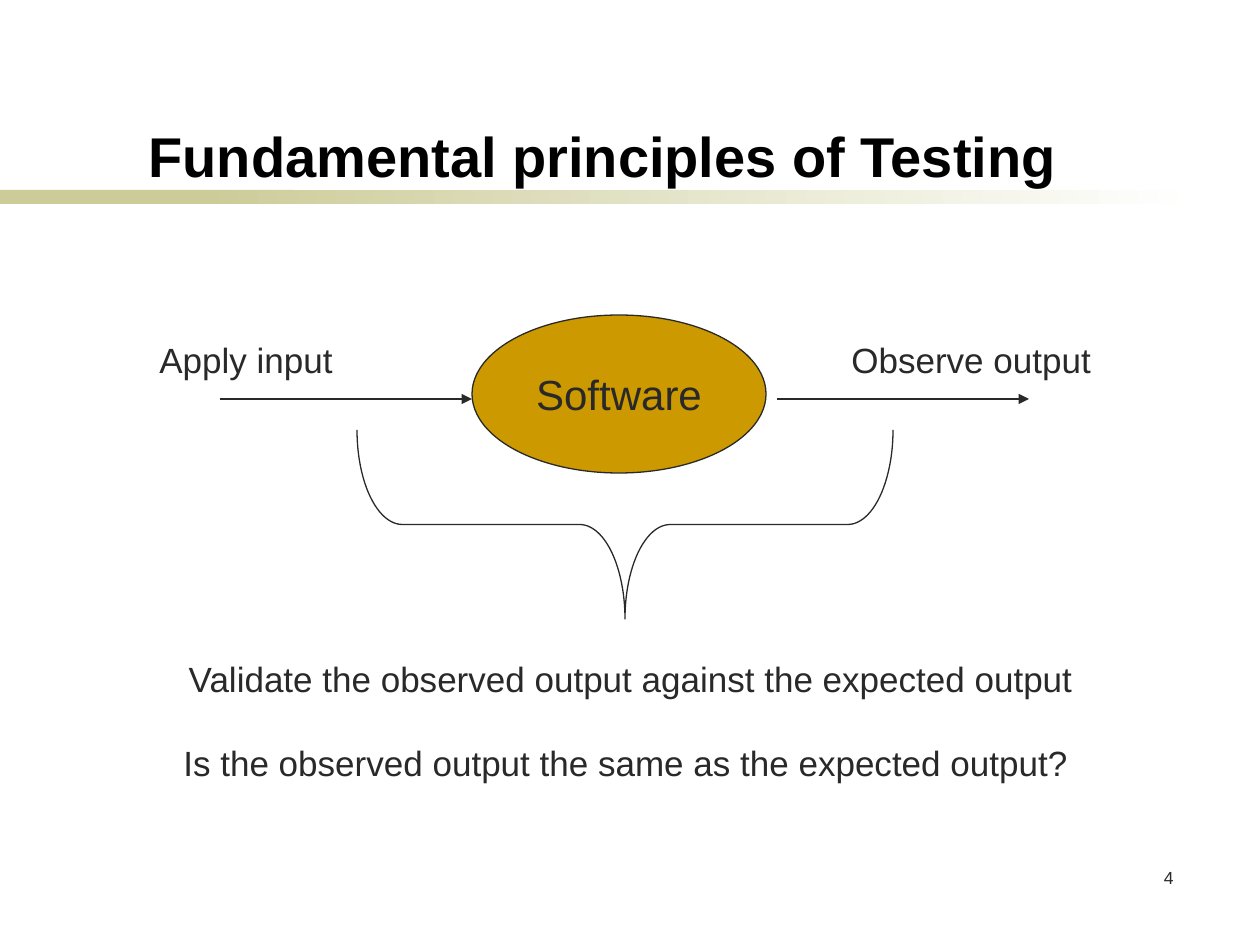
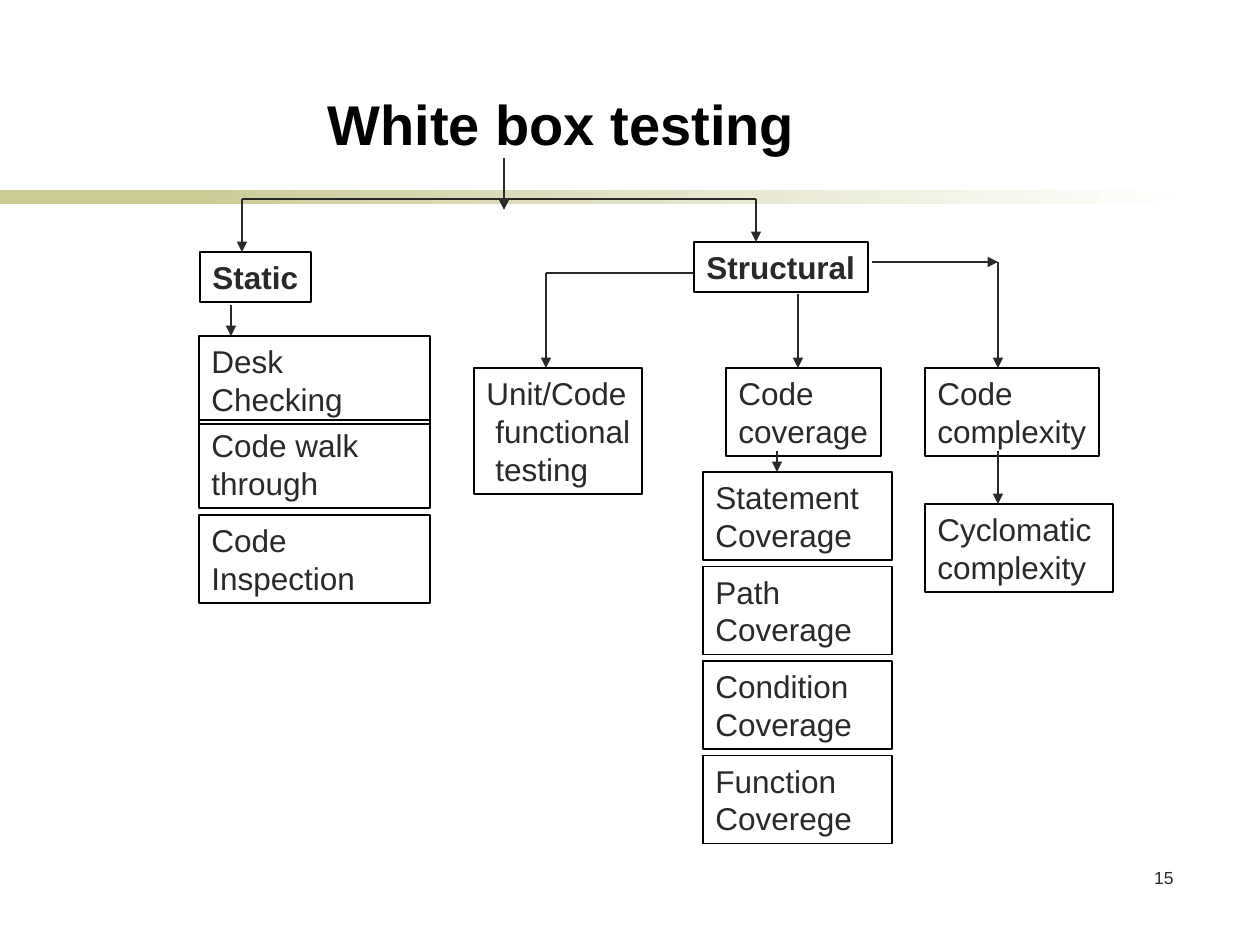
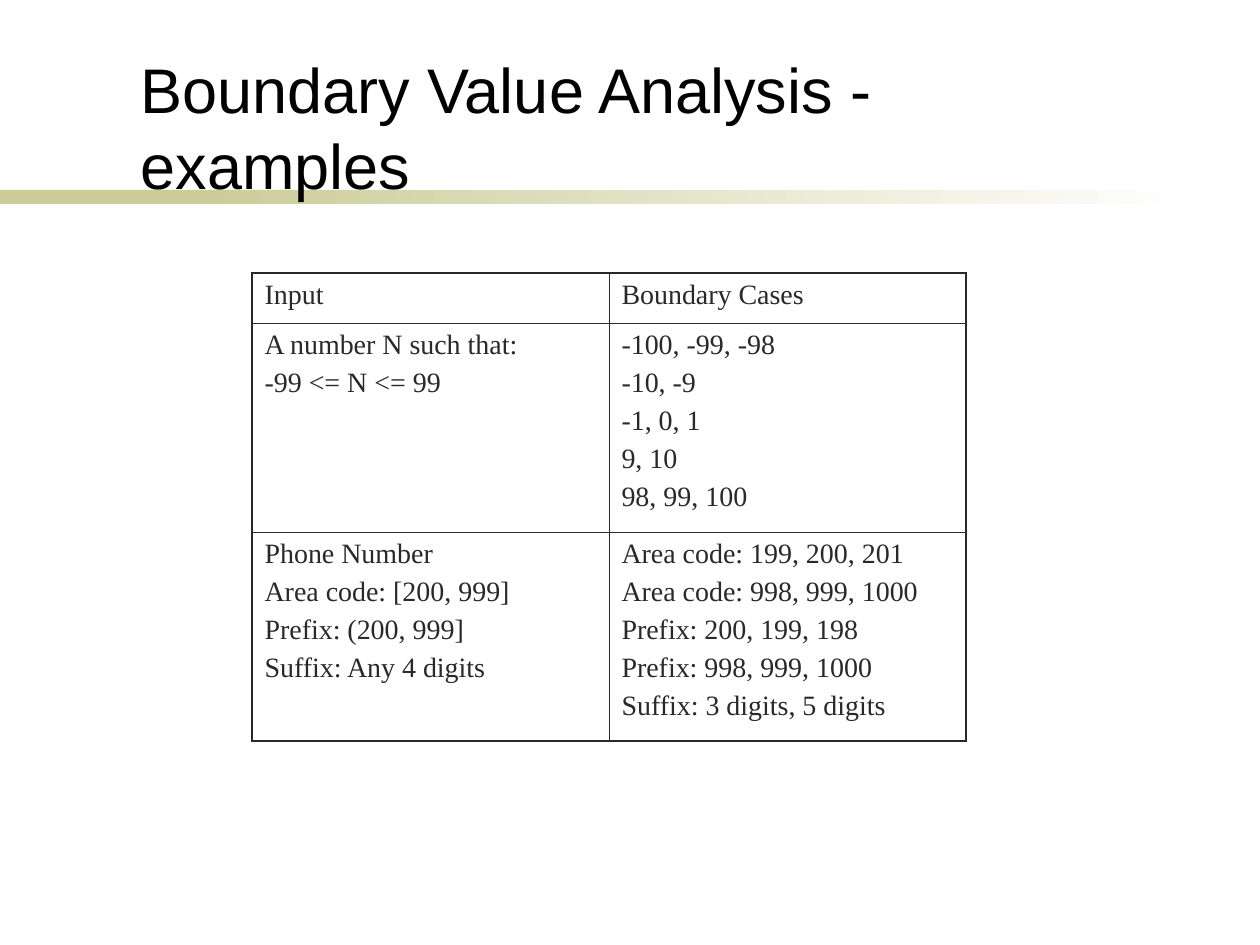
from lxml import etree
from pptx import Presentation
from pptx.dml.color import RGBColor
from pptx.enum.shapes import MSO_CONNECTOR as Link, MSO_SHAPE as Kind
from pptx.enum.text import MSO_ANCHOR as Anchor, MSO_AUTO_SIZE as Fit, PP_ALIGN as Align
from pptx.oxml.ns import qn
from pptx.util import Emu, Pt

INK = RGBColor(0x29, 0x29, 0x29)
BLACK = RGBColor(0, 0, 0)
WHITE = RGBColor(255, 255, 255)
KHAKI = RGBColor(0xCC, 0xCC, 0x99)
GOLD = RGBColor(0xCC, 0x99, 0)
SANS, SERIF = "Arial", "Times New Roman"
DPI = 126
WIDE, TALL = 1260, 945

LABEL = dict(name=SANS, size=Pt(20))
NODE = dict(name=SANS, size=Pt(18))
HEAD = dict(name=SANS, size=Pt(18), bold=True)
CELL = dict(name=SERIF, size=Pt(16))


def px(num):
    return Emu(round(num * 914400 / DPI))


def place(box):
    return [px(num) for num in box]


# Text and shapes
def write(frame, lines, font, color=INK, align=Align.LEFT, gap=0):
    """Fill a frame; a line is a text or a (text, margin name, px) tuple."""
    for i, line in enumerate(lines):
        text, *margin = (line,) if isinstance(line, str) else line
        para = frame.paragraphs[0] if i == 0 else frame.add_paragraph()
        para.text = text
        para.alignment = align
        if margin:
            side, size = margin
            para._p.get_or_add_pPr().set(side, str(px(size)))
        if i and gap:
            para.space_before = Pt(gap)
        for key, val in font.items():
            setattr(para.font, key, val)
        para.font.color.rgb = color


def note(slide, box, lines, font, **style):
    frame = slide.shapes.add_textbox(*place(box)).text_frame
    frame.word_wrap = True
    write(frame, lines, font, **style)


def shape(slide, kind, box, fill=None, line=None):
    item = slide.shapes.add_shape(kind, *place(box))
    item.shadow.inherit = False
    if fill is None:
        item.fill.background()
    else:
        item.fill.solid()
        item.fill.fore_color.rgb = fill
    if line is None:
        item.line.fill.background()
    else:
        item.line.color.rgb = line
        item.line.width = Pt(0.75)
    return item


def node(slide, box, lines, font=NODE, wrap=False):
    frame = shape(slide, Kind.RECTANGLE, box, line=BLACK).text_frame
    frame.word_wrap = wrap
    frame.vertical_anchor = Anchor.TOP
    write(frame, lines, font)


def stack(slide, box, step, names):
    x, y, w, h = box
    for i, name in enumerate(names):
        node(slide, (x, y + i * step, w, h), [name], wrap=True)


def link(slide, ends, arrow=True):
    item = slide.shapes.add_connector(Link.STRAIGHT, *place(ends))
    item.line.color.rgb = INK
    item.line.width = Pt(0.75)
    if arrow:
        etree.SubElement(item.line._get_or_add_ln(), qn("a:tailEnd"), type="triangle")
    etree.SubElement(item.element.spPr, qn("a:effectLst"))


def links(slide, x, y, plain, arrows):
    for group, arrow in ((plain, False), (arrows, True)):
        for x1, y1, x2, y2 in group:
            link(slide, (x + x1, y + y1, x + x2, y + y2), arrow)


# Shared slide frame: band, title, page number
def start(deck, text, box, size=32, bold=True, page=None):
    slide = deck.slides.add_slide(deck.slide_layouts[5])
    title = slide.shapes.title
    solid = shape(slide, Kind.RECTANGLE, (0, 190, 294, 14), KHAKI)
    fade = shape(slide, Kind.RECTANGLE, (199, 190, 998, 14), KHAKI)
    fade.fill.gradient()
    fade.fill.gradient_angle = 0
    for stop, color in zip(fade.fill.gradient_stops, (KHAKI, WHITE)):
        stop.color.rgb = color
    for bar in (solid, fade):
        title.element.addprevious(bar.element)
    for key, val in zip(("left", "top", "width", "height"), place(box)):
        setattr(title, key, val)
    frame = title.text_frame
    for key, val in dict(word_wrap=True, auto_size=Fit.NONE,
                         vertical_anchor=Anchor.BOTTOM).items():
        setattr(frame, key, val)
    write(frame, [text], dict(name=SANS, size=Pt(size), bold=bold), BLACK)
    if page:
        note(slide, (924, 861, 262, 63), [page], dict(name=SANS, size=Pt(10)),
             align=Align.RIGHT)
    return slide


# Slide 1: input, software, output
def flow(slide, box):
    x, y, w, h = box
    oval = shape(slide, Kind.OVAL, (x + 325, y, 294, h), GOLD, INK)
    frame = oval.text_frame
    frame.word_wrap = False
    frame.vertical_anchor = Anchor.MIDDLE
    write(frame, ["Software"], dict(name=SANS, size=Pt(24)), align=Align.CENTER)
    links(slide, x, y, [], [(73, 84, 325, 84), (630, 84, 882, 84)])
    for left, text in ((x, "Apply input"), (x + w - 265, "Observe output")):
        note(slide, (left, y + 17, 290, 55), [text], LABEL)


def check(slide, box):
    x, y, w, h = box
    # The brace is turned, so its frame is upright around the same centre
    long, deep = 536, 189
    left, top = x + 186, y
    brace = shape(slide, Kind.LEFT_BRACE,
                  (left + (long - deep) / 2, top - (long - deep) / 2, deep, long), line=INK)
    brace.rotation = 270
    brace.adjustments[0] = 0.24
    note(slide, (x, y + 221, w, h - 221),
         ["Validate the observed output against the expected output",
          ("Is the observed output the same as the expected output?", "marR", 10)],
         LABEL, align=Align.CENTER, gap=24)


# Slide 2: tree of test kinds
def root(slide, box):
    x, y, w, h = box
    mid, bar = 262, 41
    links(slide, x, y,
          [(mid, bar, 0, bar), (mid, bar, w, bar)],
          [(mid, 0, mid, 52), (0, bar, 0, h), (w, bar, w, h - 10)])


def static(slide, box):
    x, y, w, h = box
    node(slide, (x + 1, y, 111, 50), ["Static"], HEAD)
    stack(slide, (x, y + 84, w, 88), 84, ["Desk Checking", "Code walk through"])
    node(slide, (x, y + h - 88, w, 88), ["Code Inspection"], wrap=True)
    links(slide, x, y, [], [(32, 53, 32, 84)])


def struct(slide, box):
    x, y, w, h = box
    row = y + 126
    node(slide, (x + 220, y, 174, 50), ["Structural"], HEAD)
    node(slide, (x, row, 168, 126),
         ["Unit/Code", ("functional", "marL", 9), ("testing", "marL", 9)])
    node(slide, (x + 252, row, 155, 88), ["Code", "coverage"])
    node(slide, (x + 451, row, 174, 88), ["Code", "complexity"])
    node(slide, (x + 451, y + 262, 188, 88), ["Cyclomatic", "complexity"])
    names = ["Statement", "Path", "Condition"]
    stack(slide, (x + 229, y + 230, 189, 88), 94.5,
          [name + " Coverage" for name in names] + ["Function Coverege"])
    links(slide, x, y, [(219, 31, 72, 31)],
          [(72, 31, 72, 126), (324, 52, 324, 126), (398, 20, 524, 20),
           (524, 20, 524, 126), (524, 209, 524, 262), (303, 209, 303, 230)])


# Slide 3: table of boundary cases
ROWS = [
    (["Input"], ["Boundary Cases"]),
    (["A number N such that:", "-99 <= N <= 99"],
     ["-100, -99, -98", "-10, -9", "-1, 0, 1", "9, 10", "98, 99, 100"]),
    (["Phone Number", "Area code: [200, 999]", "Prefix: (200, 999]", "Suffix: Any 4 digits"],
     ["Area code: 199, 200, 201", "Area code: 998, 999, 1000", "Prefix: 200, 199, 198",
      "Prefix: 998, 999, 1000", "Suffix: 3 digits, 5 digits"]),
]


def edge(cell, outer):
    """Draw the four borders, thick where the side is on the rim."""
    props = cell._tc.get_or_add_tcPr()
    for i, (side, rim) in enumerate(zip("LRTB", outer)):
        line = etree.Element(qn("a:ln" + side), w=str(Pt(1.08 if rim else 0.45)))
        fill = etree.SubElement(line, qn("a:solidFill"))
        etree.SubElement(fill, qn("a:srgbClr"), val=str(INK))
        props.insert(i, line)


def cases(slide, box):
    x, y, w, h = box
    table = slide.shapes.add_table(len(ROWS), 2, *place(box)).table
    table.first_row = table.horz_banding = False
    for col in table.columns:
        col.width = px(w / 2)
    for r, row in enumerate(ROWS):
        table.rows[r].height = px((h - 50) / 2 if r else 50)
        for c, lines in enumerate(row):
            cell = table.cell(r, c)
            cell.fill.background()
            write(cell.text_frame, lines, CELL, gap=4)
            edge(cell, (c == 0, c == 1, r == 0, r == len(ROWS) - 1))


def main():
    deck = Presentation()
    deck.slide_width, deck.slide_height = px(WIDE), px(TALL)

    slide = start(deck, "Fundamental principles of Testing", (136, 0, 987, 195), page="4")
    flow(slide, (147, 315, 957, 158))
    check(slide, (171, 430, 920, 360))

    slide = start(deck, "White box testing", (315, 84, 588, 79), page="15")
    root(slide, (242, 158, 514, 94))
    static(slide, (199, 252, 231, 351))
    struct(slide, (474, 242, 639, 603))

    slide = start(deck, "Boundary Value Analysis - examples", (128, 13, 987, 195),
                  size=36, bold=False)
    cases(slide, (252, 273, 714, 468))
    deck.save("out.pptx")


if __name__ == "__main__":
    main()
